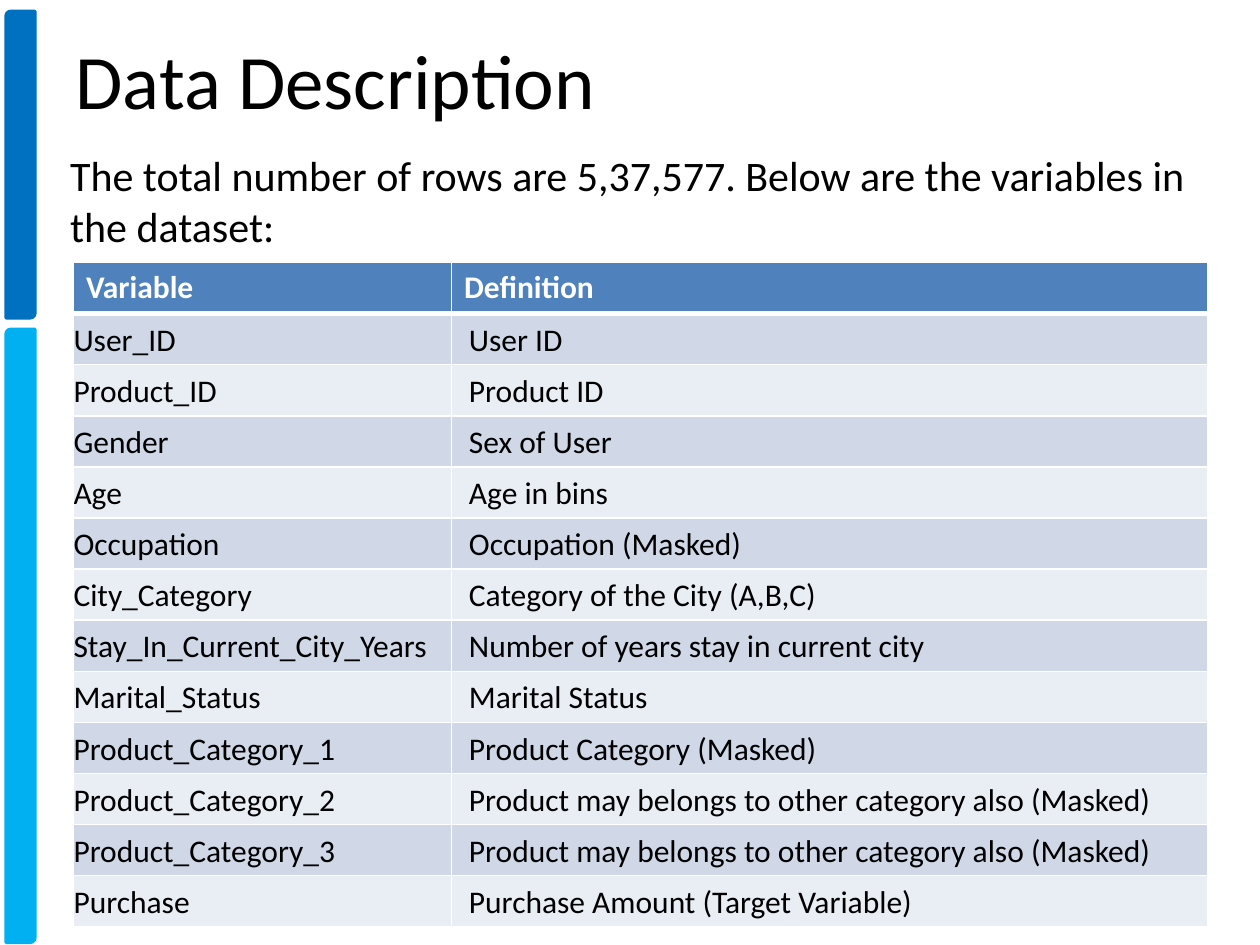
import pptx
import pptx.util
import pptx.dml.color
import pptx.enum.shapes
import pptx.enum.text
import pptx.oxml

Pt = pptx.util.Pt
ANCHOR = pptx.enum.text.MSO_ANCHOR
FONT = "Calibri"
NAMESPACE = "http://schemas.openxmlformats.org/drawingml/2006/main"
VARIABLES = [
    ("Variable", "Definition"),
    ("User_ID", "User ID"),
    ("Product_ID", "Product ID"),
    ("Gender", "Sex of User"),
    ("Age", "Age in bins"),
    ("Occupation", "Occupation (Masked)"),
    ("City_Category", "Category of the City (A,B,C)"),
    ("Stay_In_Current_City_Years", "Number of years stay in current city"),
    ("Marital_Status", "Marital Status"),
    ("Product_Category_1", "Product Category (Masked)"),
    ("Product_Category_2", "Product may belongs to other category also (Masked)"),
    ("Product_Category_3", "Product may belongs to other category also (Masked)"),
    ("Purchase", "Purchase Amount (Target Variable)"),
]


def color(value):
    return pptx.dml.color.RGBColor.from_string(value)


def format_text(para, size, ink="000000", bold=False):
    for span in para.runs:
        span.font.name = FONT
        span.font.size = Pt(size)
        span.font.bold = bold
        span.font.color.rgb = color(ink)


def add_side_bars(page, left, top, width, height):
    """Two stacked bars, the upper one a third of the height."""
    gap = 6.5
    upper = (height - gap) / 3
    bars = [(top, upper, "0070C0"),
            (top + upper + gap, height - upper - gap, "00B0F0")]
    for bar_top, bar_height, fill in bars:
        bar = page.shapes.add_shape(
            pptx.enum.shapes.MSO_SHAPE.ROUND_2_DIAG_RECTANGLE,
            Pt(left), Pt(bar_top), Pt(width), Pt(bar_height))
        bar.shadow.inherit = False
        bar.fill.solid()
        bar.fill.fore_color.rgb = color(fill)
        bar.line.color.rgb = color(fill)
        bar.line.width = Pt(2)


def set_title(page, left, top, width, height):
    title = page.shapes.title
    title.left, title.top = Pt(left), Pt(top)
    title.width, title.height = Pt(width), Pt(height)
    title.text_frame.text = "Data Description"
    title.text_frame.vertical_anchor = ANCHOR.MIDDLE
    para = title.text_frame.paragraphs[0]
    para.alignment = pptx.enum.text.PP_ALIGN.LEFT
    format_text(para, 44)


def add_intro(page, left, top, width, height):
    box = page.shapes.add_textbox(Pt(left), Pt(top), Pt(width), Pt(height))
    frame = box.text_frame
    frame.word_wrap = True
    frame.auto_size = pptx.enum.text.MSO_AUTO_SIZE.SHAPE_TO_FIT_TEXT
    frame.text = ("The total number of rows are 5,37,577. "
                  "Below are the variables in the dataset:")
    format_text(frame.paragraphs[0], 24)


def set_borders(cell, top, bottom):
    """White borders; they must come before the fill in the cell's XML."""
    properties = cell._tc.get_or_add_tcPr()
    sides = [("lnL", 1), ("lnR", 1), ("lnT", top), ("lnB", bottom)]
    for position, (side, width) in enumerate(sides):
        properties.insert(position, pptx.oxml.parse_xml(
            f'<a:{side} xmlns:a="{NAMESPACE}" w="{Pt(width)}"><a:solidFill>'
            f'<a:srgbClr val="FFFFFF"/></a:solidFill></a:{side}>'))


def add_variable_table(page, left, top, width, height):
    count = len(VARIABLES)
    table = page.shapes.add_table(
        count, 2, Pt(left), Pt(top), Pt(width), Pt(height)).table
    table.columns[0].width = Pt(width / 3)
    table.columns[1].width = Pt(width * 2 / 3)
    for index, texts in enumerate(VARIABLES):
        table.rows[index].height = Pt(height / count)
        header = index == 0
        fill = "4F81BD" if header else ("E9EDF4", "D0D8E8")[index % 2]
        for column, text in enumerate(texts):
            cell = table.cell(index, column)
            cell.text_frame.text = text
            para = cell.text_frame.paragraphs[0]
            format_text(para, 18, "FFFFFF" if header else "000000", header)
            cell.fill.solid()
            cell.fill.fore_color.rgb = color(fill)
            set_borders(cell, 3 if index == 1 else 1, 3 if header else 1)
            if not header:
                para.line_spacing = 1.07
                cell.vertical_anchor = ANCHOR.MIDDLE
                cell.margin_top = cell.margin_bottom = 0
                cell.margin_left = cell.margin_right = Pt(10 * column)


def main():
    deck = pptx.Presentation()
    deck.slide_width, deck.slide_height = Pt(720), Pt(540)
    page = deck.slides.add_slide(deck.slide_layouts[5])  # Title Only
    add_side_bars(page, 3.5, 6.5, 16.5, 532)
    set_title(page, 36, 0, 648, 90)
    add_variable_table(page, 42, 150, 648, 379.6)
    add_intro(page, 33, 82, 657, 65.5)
    deck.save("out.pptx")


if __name__ == "__main__":
    main()
